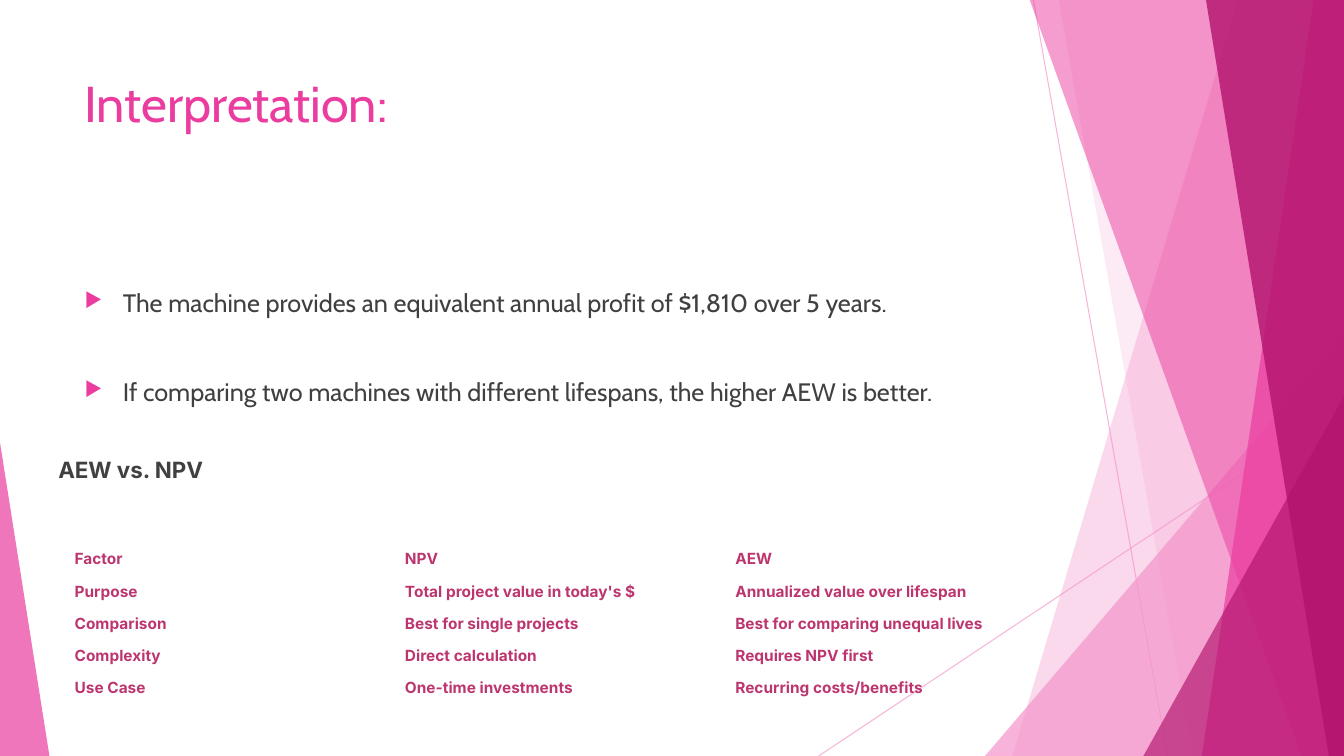
import pptx
import pptx.util
import pptx.dml.color
import pptx.enum.shapes
import pptx.enum.text
import pptx.oxml
import pptx.oxml.ns
from pptx.util import Inches, Pt

COLORS = {
    "light": "F496CB",
    "pink": "EB3D9F",
    "dark": "B2136D",
    "text": "404040",
    "table": "BC356F",
}
NO_STYLE = "{2D5ABB26-0587-4C30-8999-92F81FD0307C}"


class SlideBuilder:
    def __init__(self, slide):
        self.slide = slide
        self.shapes = slide.shapes

    def rgb(self, color):
        return pptx.dml.color.RGBColor.from_string(COLORS[color])

    def child(self, parent, tag, **attributes):
        element = pptx.oxml.ns.qn(tag)
        node = parent.makeelement(element, attributes)
        parent.append(node)
        return node

    def fade(self, color_format_parent, opacity):
        color = color_format_parent.find(".//" + pptx.oxml.ns.qn("a:srgbClr"))
        self.child(color, "a:alpha", val=str(opacity * 1000))

    def paint(self, shape, color, opacity):
        shape.shadow.inherit = False
        shape.line.fill.background()
        shape.fill.solid()
        shape.fill.fore_color.rgb = self.rgb(color)
        self.fade(shape.fill._xPr, opacity)

    def line(self, x1, y1, x2, y2, color, opacity):
        line = self.shapes.add_connector(
            pptx.enum.shapes.MSO_CONNECTOR.STRAIGHT,
            Inches(x1), Inches(y1), Inches(x2), Inches(y2))
        line.line.width = Pt(0.75)
        line.line.color.rgb = self.rgb(color)
        self.fade(line.line._ln, opacity)
        self.child(line._element.spPr, "a:effectLst")

    def band(self, top_left, bottom_left, color, opacity):
        """A strip that runs from a slanted left side to the slide's right edge."""
        top, right, bottom = -0.01, 13.33, 7.5
        outline = self.shapes.build_freeform(Inches(top_left), Inches(top))
        corners = [(right, top), (right, bottom), (bottom_left, bottom)]
        outline.add_line_segments([(Inches(x), Inches(y)) for x, y in corners])
        self.paint(outline.convert_to_shape(), color, opacity)

    def triangle(self, x, y, w, h, apex, color, opacity):
        triangle = self.shapes.add_shape(
            pptx.enum.shapes.MSO_SHAPE.ISOSCELES_TRIANGLE,
            Inches(x), Inches(y), Inches(w), Inches(h))
        triangle.adjustments[0] = apex
        self.paint(triangle, color, opacity)

    def font(self, paragraph, name, size, color, bold=False):
        paragraph.font.name = name
        paragraph.font.size = Pt(size)
        paragraph.font.color.rgb = self.rgb(color)
        paragraph.font.bold = bold

    def text(self, x, y, w, h, lines, name, size, color, bold=False,
             bullet=False, gap=0, margin_top=0.05):
        frame = self.shapes.add_textbox(
            Inches(x), Inches(y), Inches(w), Inches(h)).text_frame
        frame.word_wrap = True
        frame.margin_top = Inches(margin_top)
        for i, line in enumerate(lines):
            paragraph = frame.add_paragraph() if i else frame.paragraphs[0]
            paragraph.text = line
            if i:
                paragraph.space_before = Pt(gap)
            if bullet:
                self.bullet(paragraph)
            self.font(paragraph, name, size, color, bold)

    def bullet(self, paragraph):
        properties = paragraph._p.get_or_add_pPr()
        indent = Inches(0.38)
        properties.set("marL", str(indent))
        properties.set("indent", str(-indent))
        color = self.child(properties, "a:buClr")
        self.child(color, "a:srgbClr", val=COLORS["pink"])
        self.child(properties, "a:buSzPct", val="80000")
        self.child(properties, "a:buChar", char="▶")

    def table(self, x, y, w, h, rows):
        table = self.shapes.add_table(
            len(rows), len(rows[0]),
            Inches(x), Inches(y), Inches(w), Inches(h)).table
        table.first_row = table.horz_banding = False
        style = table._tbl.tblPr.find(pptx.oxml.ns.qn("a:tableStyleId"))
        style.text = NO_STYLE
        for r, row in enumerate(rows):
            for c, value in enumerate(row):
                cell = table.cell(r, c)
                cell.text = value
                cell.fill.background()
                cell.vertical_anchor = pptx.enum.text.MSO_ANCHOR.MIDDLE
                cell.margin_left = cell.margin_right = 0
                cell.margin_top = cell.margin_bottom = 0
                self.font(cell.text_frame.paragraphs[0], "Inter", 11, "table", True)


def main():
    deck = pptx.Presentation()
    deck.slide_width, deck.slide_height = Inches(13.33), Inches(7.5)
    builder = SlideBuilder(deck.slides.add_slide(deck.slide_layouts[6]))

    # Faceted decoration, back to front
    builder.line(10.25, 0, 11.58, 7.5, "light", 70)
    builder.line(13.33, 4.03, 8.12, 7.5, "light", 70)
    builder.band(12.28, 10.04, "light", 36)
    builder.band(10.5, 11.83, "light", 20)
    builder.triangle(9.77, 3.33, 3.56, 4.17, 1, "light", 72)
    builder.band(10.21, 12.91, "pink", 50)
    builder.band(13.03, 11.92, "pink", 70)
    builder.band(11.96, 13.18, "dark", 80)
    builder.triangle(11.34, 3.93, 1.99, 3.57, 1, "dark", 66)
    builder.triangle(0, 4.39, 0.49, 3.11, 0, "pink", 70)

    # Title and interpretation
    builder.text(0.74, 0.67, 9.4, 1.44, ["Interpretation:"], "Cabin", 36, "pink")
    builder.text(0.74, 2.36, 9.4, 4.24, [
        "The machine provides an equivalent annual profit of $1,810 over 5 years.",
        "If comparing two machines with different lifespans, the higher AEW is better.",
    ], "Cabin", 18, "text", bullet=True, gap=42, margin_top=0.49)

    # Comparison of the two measures
    builder.text(0.48, 4.48, 5.56, 0.37, ["AEW vs. NPV"], "Inter", 16, "text", bold=True)
    builder.table(0.74, 5.39, 9.83, 1.59, [
        ("Factor", "NPV", "AEW"),
        ("Purpose", "Total project value in today's $", "Annualized value over lifespan"),
        ("Comparison", "Best for single projects", "Best for comparing unequal lives"),
        ("Complexity", "Direct calculation", "Requires NPV first"),
        ("Use Case", "One-time investments", "Recurring costs/benefits"),
    ])

    deck.save("out.pptx")


if __name__ == "__main__":
    main()
